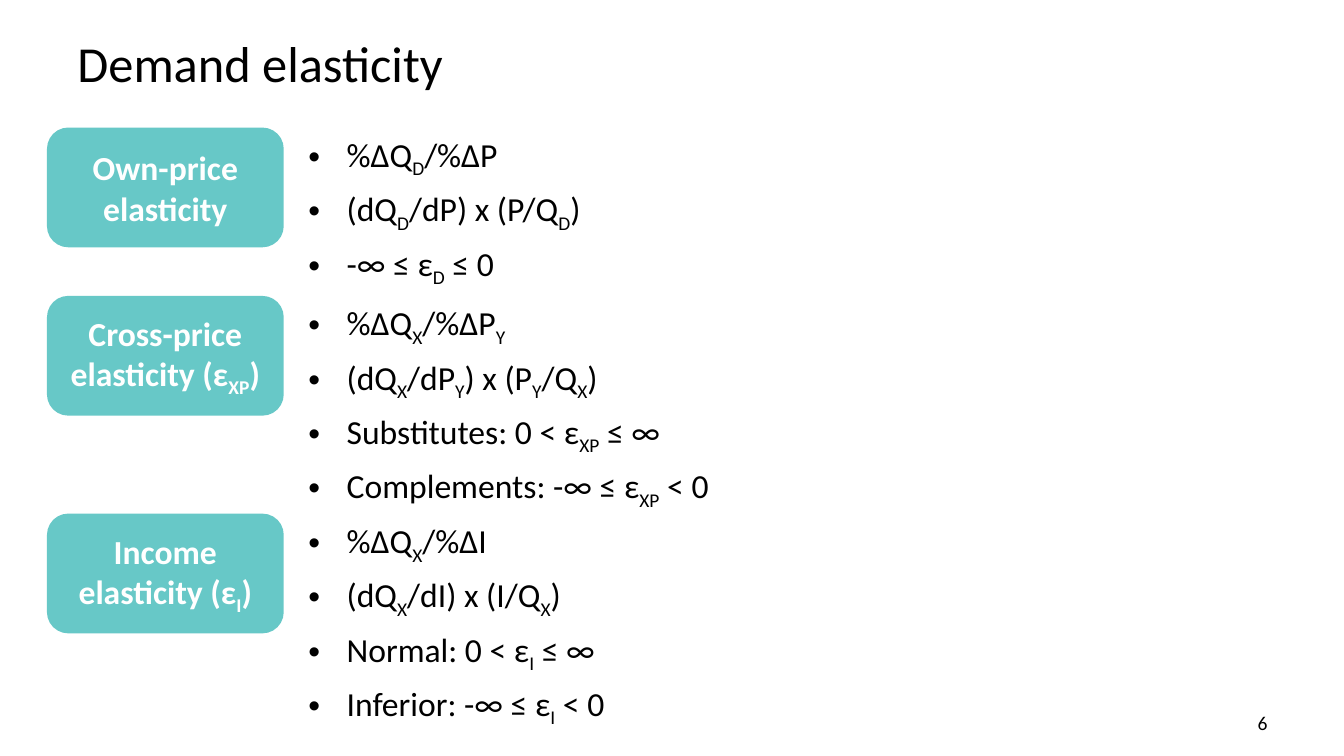
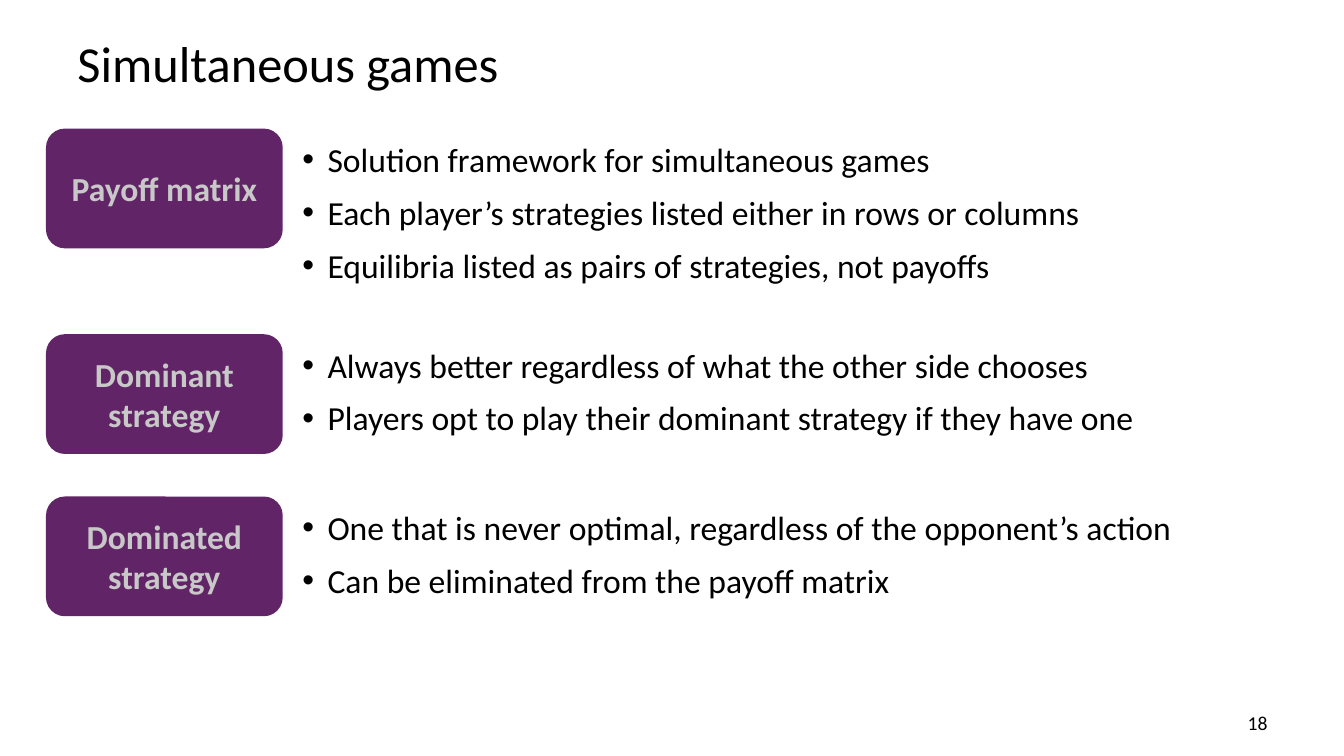
from dataclasses import dataclass

import lxml.etree
import pptx
import pptx.dml.color
import pptx.enum.shapes
import pptx.enum.text
import pptx.oxml.ns
import pptx.util

PX = 9144  # EMU per px, 100 px to the inch
ALIGN = pptx.enum.text.PP_ALIGN
ANCHOR = pptx.enum.text.MSO_ANCHOR


@dataclass(frozen=True)
class Theme:
    font: str = "Calibri"
    text: str = "000000"
    teal: str = "67C8C7"
    purple: str = "612466"
    white: str = "FFFFFF"
    silver: str = "C8C8C8"
    title_size: int = 36
    body_size: int = 24
    number_size: int = 14


@dataclass(frozen=True)
class TopicStyle:
    """Look of one slide's labels and the lists beside them; lengths in px."""
    fill: str
    label_color: str
    label_left: int
    list_left: int
    list_width: int
    indent: int
    line_spacing: float
    radius: float


THEME = Theme()
TEAL_TOPICS = TopicStyle(THEME.teal, THEME.white, 48, 296, 989, 38, 1.0, 0.17)
PURPLE_TOPICS = TopicStyle(THEME.purple, THEME.silver, 47, 290, 992, 25, 1.1, 0.15)
LABEL_WIDTH, LABEL_HEIGHT = 232, 116

ELASTICITIES = [
    (128, "Own-price elasticity", [
        "%ΔQ[D]/%ΔP",
        "(dQ[D]/dP) x (P/Q[D])",
        "-∞ ≤ ε[D] ≤ 0",
    ]),
    (295, "Cross-price elasticity (ε[XP])", [
        "%ΔQ[X]/%ΔP[Y]",
        "(dQ[X]/dP[Y]) x (P[Y]/Q[X])",
        "Substitutes: 0 < ε[XP] ≤ ∞",
        "Complements: -∞ ≤ ε[XP] < 0",
    ]),
    (511, "Income elasticity (ε[I])", [
        "%ΔQ[X]/%ΔI",
        "(dQ[X]/dI) x (I/Q[X])",
        "Normal: 0 < ε[I] ≤ ∞",
        "Inferior: -∞ ≤ ε[I] < 0",
    ]),
]

GAMES = [
    (129, "Payoff matrix", [
        "Solution framework for simultaneous games",
        "Each player’s strategies listed either in rows or columns",
        "Equilibria listed as pairs of strategies, not payoffs",
    ]),
    (333, "Dominant strategy", [
        "Always better regardless of what the other side chooses",
        "Players opt to play their dominant strategy if they have one",
    ]),
    (494, "Dominated strategy", [
        "One that is never optimal, regardless of the opponent’s action",
        "Can be eliminated from the payoff matrix",
    ]),
]


def rgb(color):
    return pptx.dml.color.RGBColor.from_string(color)


def add_bullet(para, indent):
    properties = para._p.get_or_add_pPr()
    properties.set("marL", str(indent * PX))
    properties.set("indent", str(-indent * PX))
    for tag, name, value in (("a:buFont", "typeface", "Arial"), ("a:buChar", "char", "•")):
        bullet = lxml.etree.SubElement(properties, pptx.oxml.ns.qn(tag))
        bullet.set(name, value)


class SlideBuilder:
    def __init__(self, deck, theme):
        self.deck = deck
        self.theme = theme
        self.page = None

    def start(self, title, number):
        self.page = self.deck.slides.add_slide(self.deck.slide_layouts[6])
        frame = self.text_box(67, 26, 1200, 71)
        frame.vertical_anchor = ANCHOR.MIDDLE
        self.fill_para(frame.paragraphs[0], title, self.theme.title_size)
        frame = self.text_box(956, 700, 311, 34)
        self.fill_para(frame.paragraphs[0], str(number), self.theme.number_size,
                       align=ALIGN.RIGHT)

    def text_box(self, left, top, width, height):
        box = self.page.shapes.add_textbox(left * PX, top * PX, width * PX, height * PX)
        box.text_frame.word_wrap = True
        return box.text_frame

    def fill_para(self, para, text, size, color=None, bold=False, align=ALIGN.LEFT):
        """Fill a paragraph; parts in [brackets] become subscripts."""
        para.alignment = align
        para.font.name = self.theme.font
        para.font.size = pptx.util.Pt(size)
        para.font.bold = bold
        para.font.color.rgb = rgb(color or self.theme.text)
        for index, part in enumerate(text.replace("]", "[").split("[")):
            if part:
                span = para.add_run()
                span.text = part
                if index % 2:
                    span._r.get_or_add_rPr().set("baseline", "-25000")

    def label(self, top, text, style):
        box = self.page.shapes.add_shape(
            pptx.enum.shapes.MSO_SHAPE.ROUNDED_RECTANGLE,
            style.label_left * PX, top * PX, LABEL_WIDTH * PX, LABEL_HEIGHT * PX)
        box.adjustments[0] = style.radius
        box.shadow.inherit = False
        box.fill.solid()
        box.fill.fore_color.rgb = rgb(style.fill)
        box.line.color.rgb = rgb(style.fill)
        box.line.width = pptx.util.Pt(2)
        frame = box.text_frame
        frame.word_wrap = True
        frame.margin_left = frame.margin_right = 0
        frame.vertical_anchor = ANCHOR.MIDDLE
        self.fill_para(frame.paragraphs[0], text, self.theme.body_size,
                       style.label_color, bold=True, align=ALIGN.CENTER)

    def bullet_list(self, top, items, style):
        frame = self.text_box(style.list_left, top, style.list_width, 50 * len(items))
        for index, item in enumerate(items):
            para = frame.add_paragraph() if index else frame.paragraphs[0]
            add_bullet(para, style.indent)
            para.line_spacing = style.line_spacing
            para.space_after = pptx.util.Pt(6)
            self.fill_para(para, item, self.theme.body_size)

    def topics(self, rows, style):
        for top, name, items in rows:
            self.label(top, name, style)
            self.bullet_list(top, items, style)


def main():
    deck = pptx.Presentation()
    deck.slide_width, deck.slide_height = 1333 * PX, 750 * PX
    builder = SlideBuilder(deck, THEME)
    builder.start("Demand elasticity", 6)
    builder.topics(ELASTICITIES, TEAL_TOPICS)
    builder.start("Simultaneous games", 18)
    builder.topics(GAMES, PURPLE_TOPICS)
    deck.save("out.pptx")


if __name__ == "__main__":
    main()
